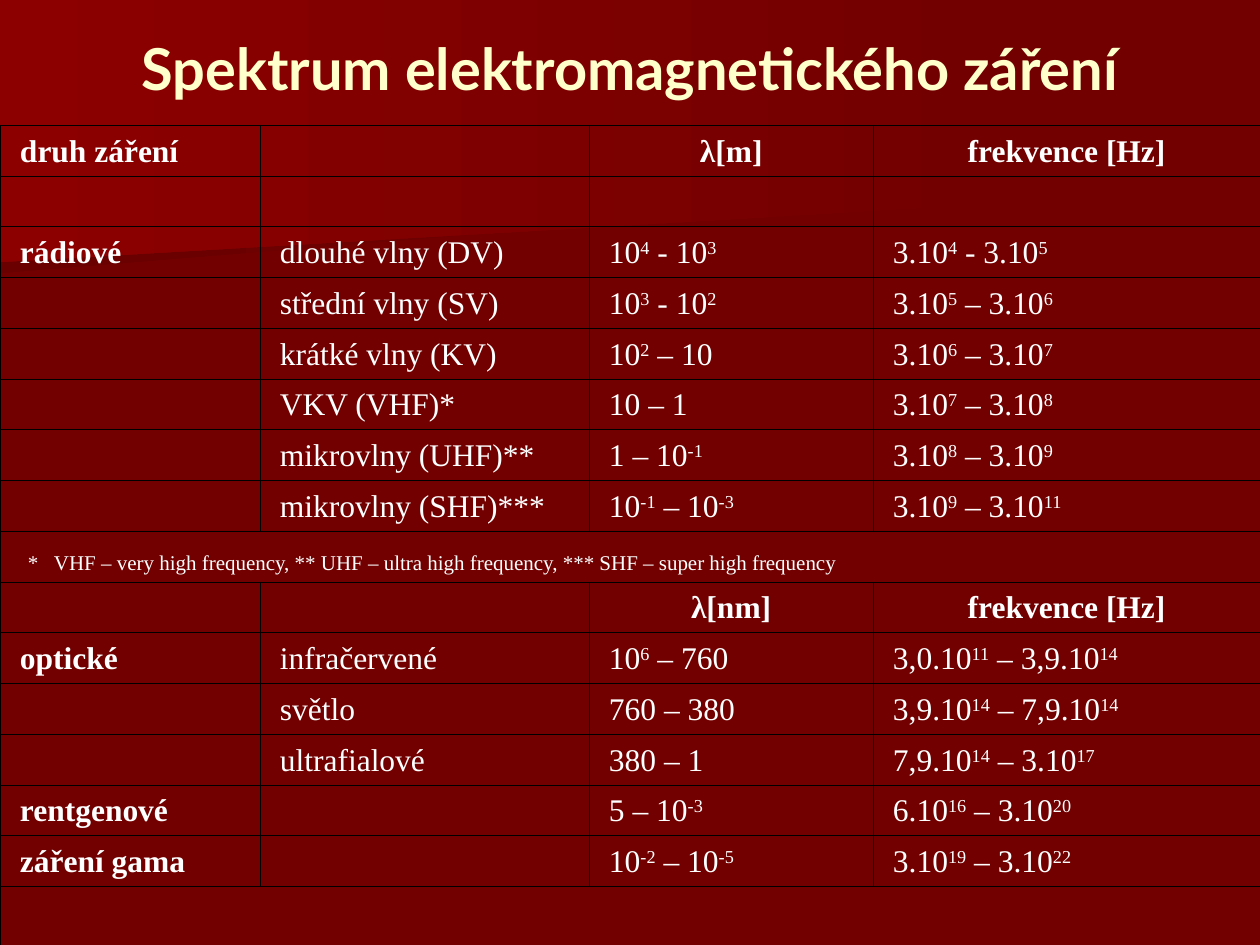
from dataclasses import dataclass
from itertools import product

from lxml import etree
from pptx import Presentation
from pptx import util as u
from pptx.dml.color import RGBColor
from pptx.enum import text as t
from pptx.oxml.ns import qn

EMU_PER_PX = 914400 / 126


@dataclass(frozen=True)
class Theme:
    ground: str = "720000"
    shade: str = "6A0000"
    glow: str = "8C0000"
    title: str = "FFFFCC"
    body: str = "FFFFFF"
    border: str = "000000"
    title_font: str = "Lato"
    body_font: str = "Times New Roman"
    title_size: int = 33
    body_size: int = 18
    note_size: int = 12
    border_width: float = 0.34


THEME = Theme()

COLUMNS = (260, 329, 284, 387)
REGULAR_ROWS_HEIGHT = 761
LAST_ROW_HEIGHT = 96
PADDING = 13
TEXT_INSET = 20
NOTE_INSET = 28
NOTE_HANG = 26

# Exponents stand between carets; a row with one entry spans the table.
SPECTRUM = [
    ("druh záření", "", "λ[m]", "frekvence [Hz]"),
    ("", "", "", ""),
    ("rádiové", "dlouhé vlny (DV)", "10^4^ - 10^3^", "3.10^4^ - 3.10^5^"),
    ("", "střední vlny (SV)", "10^3^ - 10^2^", "3.10^5^ – 3.10^6^"),
    ("", "krátké vlny (KV)", "10^2^ – 10", "3.10^6^ – 3.10^7^"),
    ("", "VKV (VHF)*", "10 – 1", "3.10^7^ – 3.10^8^"),
    ("", "mikrovlny (UHF)**", "1 – 10^-1^", "3.10^8^ – 3.10^9^"),
    ("", "mikrovlny (SHF)***", "10^-1^ – 10^-3^", "3.10^9^ – 3.10^11^"),
    ("*\tVHF – very high frequency, ** UHF – ultra high frequency, "
     "*** SHF – super high frequency",),
    ("", "", "λ[nm]", "frekvence [Hz]"),
    ("optické", "infračervené", "10^6^ – 760", "3,0.10^11^ – 3,9.10^14^"),
    ("", "světlo", "760 – 380", "3,9.10^14^ – 7,9.10^14^"),
    ("", "ultrafialové", "380 – 1", "7,9.10^14^ – 3.10^17^"),
    ("rentgenové", "", "5 – 10^-3^", "6.10^16^ – 3.10^20^"),
    ("záření gama", "", "10^-2^ – 10^-5^", "3.10^19^ – 3.10^22^"),
    ("",),
]
HEADER_ROWS = (0, 9)


def px(length):
    return u.Emu(round(length * EMU_PER_PX))


def rgb(colour):
    return RGBColor.from_string(colour)


def write(frame, content, *, size=THEME.body_size, font=THEME.body_font,
          colour=THEME.body, bold=False, align=t.PP_ALIGN.LEFT, hang=0):
    """Write one paragraph, raising whatever stands between carets."""
    paragraph = frame.paragraphs[0]
    paragraph.alignment = align
    if hang:
        properties = paragraph._p.get_or_add_pPr()
        properties.set("marL", str(px(hang)))
        properties.set("indent", str(-px(hang)))
    for index, part in enumerate(content.split("^")):
        if not part:
            continue
        run = paragraph.add_run()
        run.text = part
        run.font.size = u.Pt(size)
        run.font.name = font
        run.font.bold = bold
        run.font.color.rgb = rgb(colour)
        if index % 2:
            run._r.get_or_add_rPr().set("baseline", "30000")


def add_band(slide, points, left_colour):
    """Add a polygon that fades from left_colour into the ground."""
    builder = slide.shapes.build_freeform(*points[0], scale=EMU_PER_PX)
    builder.add_line_segments(points[1:], close=True)
    band = builder.convert_to_shape()
    band.shadow.inherit = False
    band.line.fill.background()
    band.fill.gradient()
    band.fill.gradient_angle = 180
    for stop, colour in zip(band.fill.gradient_stops,
                            (THEME.ground, left_colour)):
        stop.color.rgb = rgb(colour)


def add_background(slide):
    slide.background.fill.solid()
    slide.background.fill.fore_color.rgb = rgb(THEME.ground)
    add_band(slide, [(980, 193), (0, 273), (0, 127), (982, 127), (980, 161)],
             THEME.shade)
    add_band(slide, [(998, 204), (0, 262), (0, 0), (998, 0)], THEME.glow)


def add_title(slide, left, top, width, height):
    title = slide.shapes.add_textbox(*map(px, (left, top, width, height)))
    frame = title.text_frame
    frame.word_wrap = True
    frame.vertical_anchor = t.MSO_ANCHOR.MIDDLE
    write(frame, "Spektrum elektromagnetického záření", bold=True,
          size=THEME.title_size, font=THEME.title_font, colour=THEME.title,
          align=t.PP_ALIGN.CENTER)


def outline(cell):
    properties = cell._tc.get_or_add_tcPr()
    for index, side in enumerate(("lnL", "lnR", "lnT", "lnB")):
        line = etree.Element(qn(f"a:{side}"),
                             w=str(u.Pt(THEME.border_width)))
        fill = etree.SubElement(line, qn("a:solidFill"))
        etree.SubElement(fill, qn("a:srgbClr"), val=THEME.border)
        properties.insert(index, line)


def fill_cell(cell, content, *, header, label, note):
    centred = header and not label
    cell.margin_left = px(NOTE_INSET if note else
                          PADDING if centred else TEXT_INSET)
    if note:
        write(cell.text_frame, content, size=THEME.note_size, hang=NOTE_HANG)
    else:
        write(cell.text_frame, content, bold=header or label,
              align=t.PP_ALIGN.CENTER if centred else t.PP_ALIGN.LEFT)


def add_spectrum_table(slide, left, top):
    regular = len(SPECTRUM) - 1
    edges = [round(i * REGULAR_ROWS_HEIGHT / regular)
             for i in range(regular + 1)]
    heights = [low - high for high, low in zip(edges, edges[1:])]
    heights.append(LAST_ROW_HEIGHT)
    table = slide.shapes.add_table(
        len(SPECTRUM), len(COLUMNS), px(left), px(top),
        px(sum(COLUMNS)), px(sum(heights))).table
    table.first_row = table.horz_banding = False
    for column, width in zip(table.columns, COLUMNS):
        column.width = px(width)
    for row, height in zip(table.rows, heights):
        row.height = px(height)

    for r, c in product(range(len(SPECTRUM)), range(len(COLUMNS))):
        cell = table.cell(r, c)
        cell.fill.background()
        cell.vertical_anchor = t.MSO_ANCHOR.BOTTOM
        cell.margin_top = 0
        outline(cell)

    for r, entries in enumerate(SPECTRUM):
        spanning = len(entries) == 1
        if spanning:
            table.cell(r, 0).merge(table.cell(r, len(COLUMNS) - 1))
        for c, content in enumerate(entries):
            fill_cell(table.cell(r, c), content, header=r in HEADER_ROWS,
                      label=c == 0, note=spanning)


def main():
    deck = Presentation()
    deck.slide_width, deck.slide_height = px(1260), px(945)
    slide = deck.slides.add_slide(deck.slide_layouts[6])
    add_background(slide)
    add_title(slide, 63, 38, 1134, 58)
    add_spectrum_table(slide, 0, 125)
    deck.save("out.pptx")


if __name__ == "__main__":
    main()
